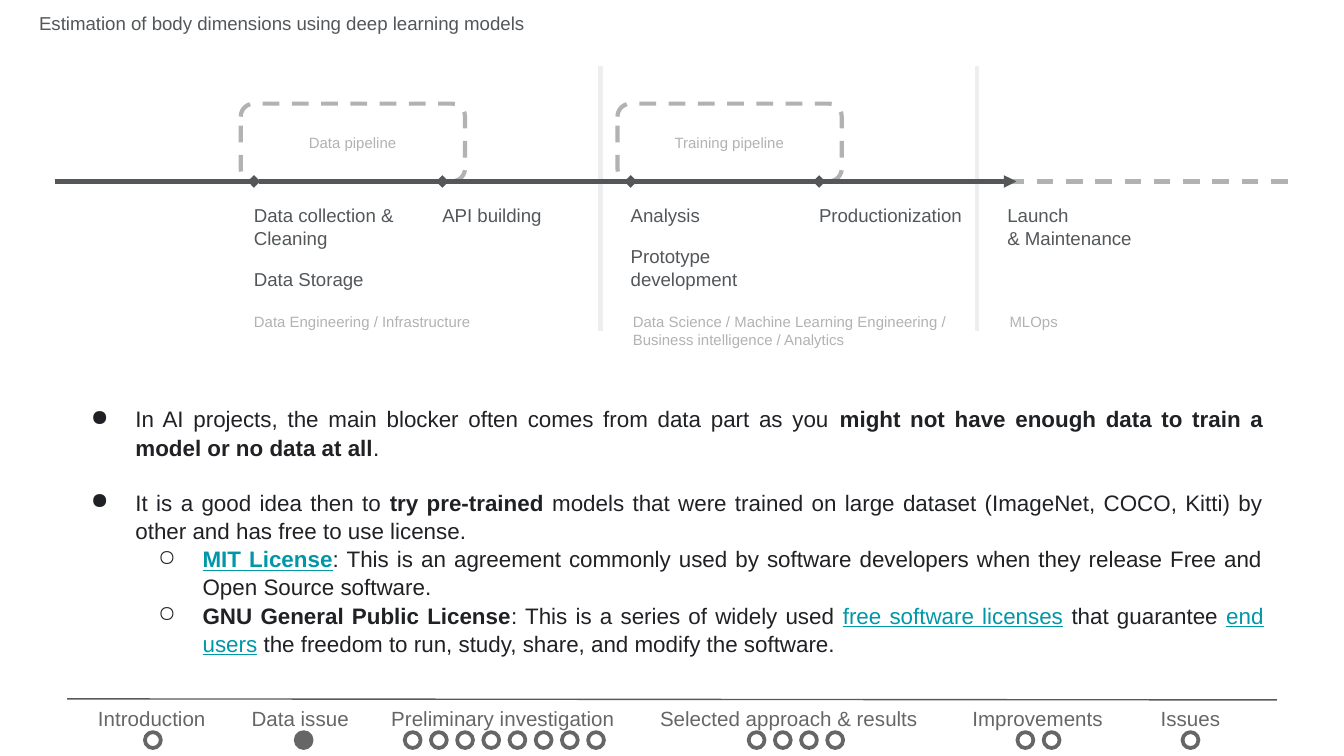
from pptx import Presentation
from pptx.dml.color import RGBColor
from pptx.enum.dml import MSO_LINE
from pptx.enum.shapes import MSO_CONNECTOR, MSO_SHAPE
from pptx.enum.text import MSO_ANCHOR as ANCHOR, PP_ALIGN as ALIGN
from pptx.oxml.ns import qn
from pptx.util import Cm, Pt
from lxml.etree import SubElement

COLORS = {"dark": "53575A", "soft": "B0B3B2", "divider": "EEEEEE", "body": "202124",
          "link": "0097A7", "rule": "595959", "footer": "666666"}

# Timeline grid, in cm
STEP_X, STEP_PITCH, STEP_W, AXIS_Y = 4.8, 3.56, 3.38, 3.43
SEGMENT_W = 3.73
PIPE_Y, PIPE_W, PIPE_H, PIPE_MARGIN = 1.96, 4.24, 1.47, 0.25

STEPS = [["Data collection & Cleaning", "Data Storage"], ["API building"],
         ["Analysis", "Prototype development"], ["Productionization"],
         ["Launch \v& Maintenance"]]
PIPELINES = [(0, "Data pipeline"), (2, "Training pipeline")]
TEAMS = [(4.8, 5.13, 5.41, "Data Engineering / Infrastructure"),
         (11.96, 5.46, 6.83, "Data Science / Machine Learning Engineering / "
                             "Business intelligence / Analytics"),
         (19.08, 5.13, 3.38, "MLOps")]

# Bullets: level, space after, runs of (text, style)
BULLETS = [
    (0, 14.5, [("In AI projects, the main blocker often comes from data part as you ", ""),
               ("might not have enough data to train a model or no data at all", "bold"),
               (".", "")]),
    (0, 0, [("It is a good idea then to ", ""), ("try pre-trained", "bold"),
            (" models that were trained on large dataset (ImageNet, COCO, Kitti) "
             "by other and has free to use license.", "")]),
    (1, 0, [("MIT License", "bold link"),
            (": This is an agreement commonly used by software developers when they "
             "release Free and Open Source software.", "")]),
    (1, 0, [("GNU General Public License", "bold"),
            (": This is a series of widely used ", ""), ("free software licenses", "link"),
            (" that guarantee ", ""), ("end users", "link"),
            (" the freedom to run, study, share, and modify the software.", "")]),
]

# Footer sections: label, label left, label width, first dot left, dot count
SECTIONS = [("Introduction", 1.12, 3.5, 2.74, 1), ("Data issue", 4.34, 2.67, 5.59, 1),
            ("Preliminary investigation", 7.32, 4.37, 7.65, 8),
            ("Selected approach & results", 12.14, 5.54, 14.15, 4),
            ("Improvements", 17.86, 3.5, 19.23, 2), ("Issues", 20.75, 3.5, 22.35, 1)]
CURRENT = "Data issue"
DOT, DOT_PITCH, DOT_Y = 0.3, 0.495, 13.84


def rgb(name):
    return RGBColor.from_string(COLORS[name])


def style(font, size, color):
    font.name, font.size = "Arial", Pt(size)
    font.color.rgb = rgb(color)


def add_frame(s, x, y, w, h, inset=0):
    tf = s.shapes.add_textbox(Cm(x), Cm(y), Cm(w), Cm(h)).text_frame
    tf.word_wrap = True
    tf.margin_left = tf.margin_right = tf.margin_top = tf.margin_bottom = Cm(inset)
    return tf


def add_label(s, x, y, w, h, lines, size, color, align=ALIGN.LEFT, anchor=ANCHOR.TOP):
    tf = add_frame(s, x, y, w, h)
    tf.vertical_anchor = anchor
    tf.text = "\n".join(lines)
    for i, p in enumerate(tf.paragraphs):
        p.alignment = align
        if i:
            p.space_before = Pt(10)
        for r in p.runs:
            style(r.font, size, color)


def add_line(s, x1, y1, x2, y2, color, width=2.25, dashed=False, head=None, tail=None):
    line = s.shapes.add_connector(MSO_CONNECTOR.STRAIGHT, Cm(x1), Cm(y1), Cm(x2), Cm(y2))
    line.line.color.rgb = rgb(color)
    line.line.width = Pt(width)
    if dashed:
        line.line.dash_style = MSO_LINE.DASH
    ln = line.line._get_or_add_ln()
    for tag, kind in (("a:headEnd", head), ("a:tailEnd", tail)):
        if kind:
            SubElement(ln, qn(tag), type=kind)
    SubElement(line._element.spPr, qn("a:effectLst"))


def add_outline(s, kind, x, y, w, h, color, width, filled=False, dashed=False):
    sp = s.shapes.add_shape(kind, Cm(x), Cm(y), Cm(w), Cm(h))
    sp.shadow.inherit = False
    if filled:
        sp.fill.solid()
        sp.fill.fore_color.rgb = rgb(color)
    else:
        sp.fill.background()
    sp.line.color.rgb = rgb(color)
    sp.line.width = Pt(width)
    if dashed:
        sp.line.dash_style = MSO_LINE.DASH


def set_bullet(p, level):
    pPr = p._p.get_or_add_pPr()
    pPr.set("marL", str(Cm(1.27 * (level + 1))))
    pPr.set("indent", str(Cm(-0.84)))
    SubElement(SubElement(pPr, qn("a:buClr")), qn("a:srgbClr"), val=COLORS["body"])
    SubElement(pPr, qn("a:buChar"), char="●○"[level])
    p.level = level


def add_bullets(s):
    tf = add_frame(s, 1.04, 7.39, 23.09, 5.13, inset=0.25)
    for i, (level, after, runs) in enumerate(BULLETS):
        p = tf.add_paragraph() if i else tf.paragraphs[0]
        set_bullet(p, level)
        p.alignment = ALIGN.JUSTIFY
        p.line_spacing = 1.05
        p.space_after = Pt(after)
        for text, look in runs:
            r = p.add_run()
            r.text = text
            style(r.font, 12, "link" if "link" in look else "body")
            r.font.bold = "bold" in look
            r.font.underline = "link" in look


def add_timeline(s):
    xs = [STEP_X + i * STEP_PITCH for i in range(len(STEPS))]
    # Phase dividers and the open end of the axis
    for x in (11.35, 18.47):
        add_line(s, x, 1.24, x, 6.25, "divider")
    add_line(s, xs[-1], AXIS_Y, 24.56, AXIS_Y, "soft", dashed=True)
    # Pipeline frames
    for step, name in PIPELINES:
        x = xs[step]
        add_outline(s, MSO_SHAPE.ROUNDED_RECTANGLE, x - PIPE_MARGIN, PIPE_Y,
                    PIPE_W, PIPE_H, "soft", 2.25, dashed=True)
        add_label(s, x, PIPE_Y, SEGMENT_W, PIPE_H, [name], 8, "soft",
                  ALIGN.CENTER, ANCHOR.MIDDLE)
    # Axis segments
    add_line(s, 1.04, AXIS_Y, STEP_X, AXIS_Y, "dark")
    for x in xs[:-1]:
        add_line(s, x, AXIS_Y, x + SEGMENT_W, AXIS_Y, "dark", head="diamond",
                 tail="triangle" if x == xs[-2] else None)
    # Steps and teams
    for x, lines in zip(xs, STEPS):
        add_label(s, x, 3.86, STEP_W, 1.3, lines, 10, "dark")
    for x, y, w, name in TEAMS:
        add_label(s, x, y, w, 1.12, [name], 8, "soft", anchor=ANCHOR.BOTTOM)


def add_footer(s):
    add_line(s, 1.27, 13.21, 24.13, 13.23, "rule", width=0.75)
    for name, x, w, dot_x, count in SECTIONS:
        add_label(s, x, 13.34, w, 0.48, [name], 11, "footer", ALIGN.CENTER)
        for i in range(count):
            add_outline(s, MSO_SHAPE.OVAL, dot_x + i * DOT_PITCH, DOT_Y, DOT, DOT,
                        "footer", 2, filled=name == CURRENT)


def main():
    prs = Presentation()
    prs.slide_width, prs.slide_height = Cm(25.4), Cm(14.29)
    s = prs.slides.add_slide(prs.slide_layouts[6])
    add_bullets(s)
    add_timeline(s)
    add_label(s, 0.74, 0.23, 23.93, 0.41,
              ["Estimation of body dimensions using deep learning models"], 10, "dark")
    add_footer(s)
    prs.save("out.pptx")


if __name__ == "__main__":
    main()
